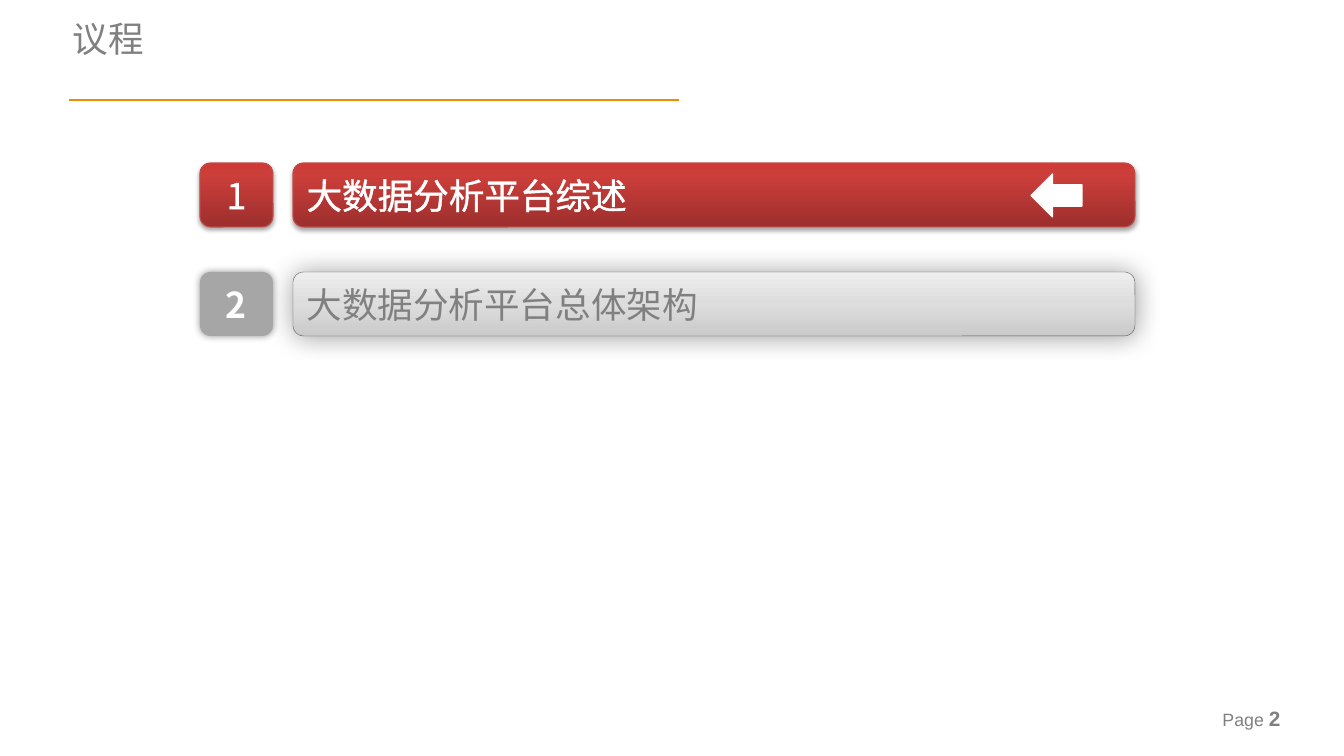
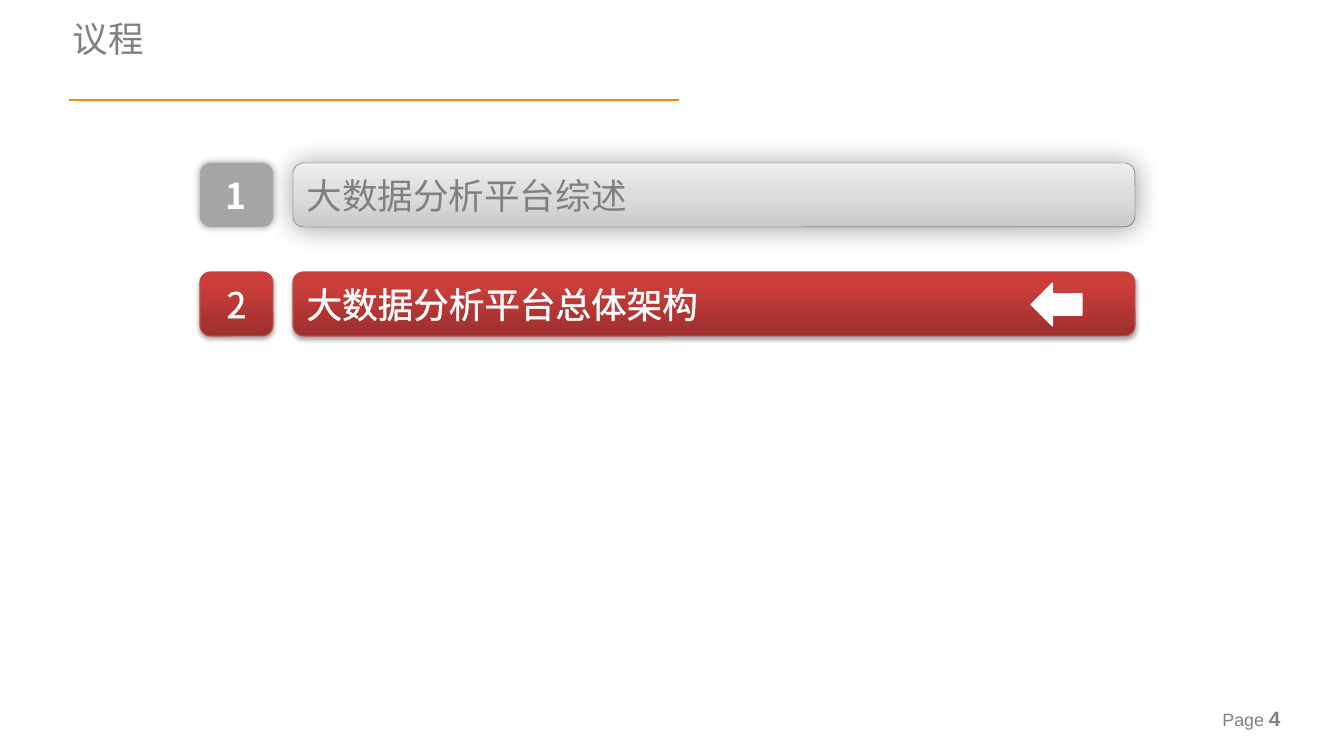
from lxml import etree
from pptx import Presentation
from pptx.dml.color import RGBColor
from pptx.enum.shapes import MSO_CONNECTOR, MSO_SHAPE
from pptx.enum.text import MSO_ANCHOR, MSO_AUTO_SIZE, PP_ALIGN
from pptx.oxml.ns import qn
from pptx.util import Emu, Pt

ROUNDED, ARROW = MSO_SHAPE.ROUNDED_RECTANGLE, MSO_SHAPE.LEFT_ARROW
STRAIGHT = MSO_CONNECTOR.STRAIGHT
LEFT, CENTER = PP_ALIGN.LEFT, PP_ALIGN.CENTER
TOP, MIDDLE = MSO_ANCHOR.TOP, MSO_ANCHOR.MIDDLE
NO_FIT = MSO_AUTO_SIZE.NONE
TITLE_ONLY = 5

PIXELS_PER_INCH = 106.7
HEADING_FONT, FOOTER_FONT = "Noto Sans CJK SC", "Arial"
COLORS = {
    "text": "808080",
    "rule": "EE8A04",
    "white": "FFFFFF",
    "badge": "A6A6A6",
    "active_line": "BF4C48",
    "idle_line": "595959",
    "shadow": "000000",
}
ACTIVE_STOPS = [(0, "9C2F2D"), (80, "CB3E3A"), (100, "CE3B37")]
IDLE_STOPS = [(0, "CACACA"), (50, "DDDDDD"), (100, "EEEEEE")]
ACTIVE_SHADOW = {"alpha": 35, "blur": 3.1, "distance": 1.8, "angle": 90}
IDLE_BAR_SHADOW = {"alpha": 40, "blur": 18}
IDLE_BADGE_SHADOW = {"alpha": 40, "blur": 5}

AGENDA = ["大数据分析平台综述", "大数据分析平台总体架构"]
ROW_TOP, ROW_PITCH, ROW_HEIGHT = 163, 109, 64
PAGES = [(2, 0), (4, 1)]


def px(length):
    return Emu(round(length * 914400 / PIXELS_PER_INCH))


def color(name):
    return RGBColor.from_string(COLORS[name])


def add_xml(parent, tag, **attributes):
    values = {key: str(value) for key, value in attributes.items()}
    return etree.SubElement(parent, qn(tag), values)


class SlideBuilder:
    def __init__(self):
        self.deck = Presentation()
        self.deck.slide_width, self.deck.slide_height = px(1344), px(756)
        self.page = None

    def start_page(self, title, number):
        layout = self.deck.slide_layouts[TITLE_ONLY]
        self.page = self.deck.slides.add_slide(layout)
        self.footer(number)
        self.rule(69, 100, 679)
        self.title(title)

    def format_span(self, span, size, name="text", font=HEADING_FONT,
                    bold=False, outline=None):
        span.font.size, span.font.bold = Pt(size), bold
        span.font.color.rgb = color(name)
        span.font.name = font
        properties = span.font._element
        add_xml(properties, "a:ea", typeface=font)
        if outline:
            line = etree.Element(qn("a:ln"), w=str(Pt(outline)))
            fill = add_xml(line, "a:solidFill")
            add_xml(fill, "a:srgbClr", val=COLORS[name])
            properties.insert(0, line)

    def title(self, text):
        box = self.page.shapes.title
        box.left, box.top, box.width, box.height = map(px, (62, 17, 949, 44))
        frame = box.text_frame
        frame.text = text
        frame.auto_size = NO_FIT
        frame.vertical_anchor, frame.margin_top = TOP, 0
        para = frame.paragraphs[0]
        para.alignment = LEFT
        self.format_span(para.runs[0], 24)

    def rule(self, left, top, right):
        line = self.page.shapes.add_connector(
            STRAIGHT, px(left), px(top), px(right), px(top))
        line.line.color.rgb, line.line.width = color("rule"), Pt(0.75)
        add_xml(line._element.spPr, "a:effectLst")

    def footer(self, number):
        box = self.page.shapes.add_textbox(*map(px, (1212, 704, 132, 28)))
        frame = box.text_frame
        frame.word_wrap, frame.vertical_anchor = True, MIDDLE
        para = frame.paragraphs[0]
        for text, size, bold in [("Page ", 12, False), (str(number), 14, True)]:
            span = para.add_run()
            span.text = text
            self.format_span(span, size, font=FOOTER_FONT, bold=bold)

    def shape(self, kind, area, fill=None, stops=None, line=None, weight=0.75):
        shape = self.page.shapes.add_shape(kind, *map(px, area))
        if stops:
            shape.fill.gradient()
            shape.fill.gradient_angle = 90
            stop_list = shape._element.spPr.find(".//" + qn("a:gsLst"))
            stop_list.clear()
            for position, value in stops:
                stop = add_xml(stop_list, "a:gs", pos=position * 1000)
                add_xml(stop, "a:srgbClr", val=value)
        else:
            shape.fill.solid()
            shape.fill.fore_color.rgb = color(fill)
        if line:
            shape.line.color.rgb, shape.line.width = color(line), Pt(weight)
        else:
            shape.line.fill.background()
        shape.shadow.inherit = False
        return shape

    def shadow(self, shape, alpha, blur, distance=0, angle=0):
        effects = shape._element.spPr.find(qn("a:effectLst"))
        outer = add_xml(effects, "a:outerShdw", blurRad=Pt(blur),
                        dist=Pt(distance), dir=angle * 60000,
                        algn="ctr", rotWithShape=0)
        shade = add_xml(outer, "a:srgbClr", val=COLORS["shadow"])
        add_xml(shade, "a:alpha", val=alpha * 1000)

    def label(self, shape, text, alignment, **style):
        frame = shape.text_frame
        frame.text = text
        frame.word_wrap, frame.vertical_anchor = True, MIDDLE
        para = frame.paragraphs[0]
        para.alignment = alignment
        self.format_span(para.runs[0], 24, **style)

    def agenda_row(self, index, text, active):
        top = ROW_TOP + index * ROW_PITCH
        bar_area = (293, top, 842, ROW_HEIGHT)
        badge_area = (200, top, 73, ROW_HEIGHT)
        if active:
            look = {"stops": ACTIVE_STOPS, "line": "active_line"}
            bar = self.shape(ROUNDED, bar_area, **look)
            badge = self.shape(ROUNDED, badge_area, **look)
            bar_shadow = badge_shadow = ACTIVE_SHADOW
            bar_style = badge_style = {"name": "white", "outline": 1.45}
        else:
            bar = self.shape(ROUNDED, bar_area, stops=IDLE_STOPS,
                             line="idle_line", weight=0.25)
            badge = self.shape(ROUNDED, badge_area, fill="badge")
            bar_shadow, badge_shadow = IDLE_BAR_SHADOW, IDLE_BADGE_SHADOW
            bar_style = {"name": "text", "outline": 0.75}
            badge_style = {"name": "white", "bold": True}
        self.shadow(bar, **bar_shadow)
        self.shadow(badge, **badge_shadow)
        self.label(bar, text, LEFT, **bar_style)
        self.label(badge, str(index + 1), CENTER, **badge_style)

    def marker(self, index):
        top = ROW_TOP + index * ROW_PITCH + 11
        self.shape(ARROW, (1031, top, 51, 43), fill="white", line="white")


builder = SlideBuilder()
for page_number, active_index in PAGES:
    builder.start_page("议程", page_number)
    for row, topic in enumerate(AGENDA):
        builder.agenda_row(row, topic, row == active_index)
    builder.marker(active_index)
builder.deck.save("out.pptx")
